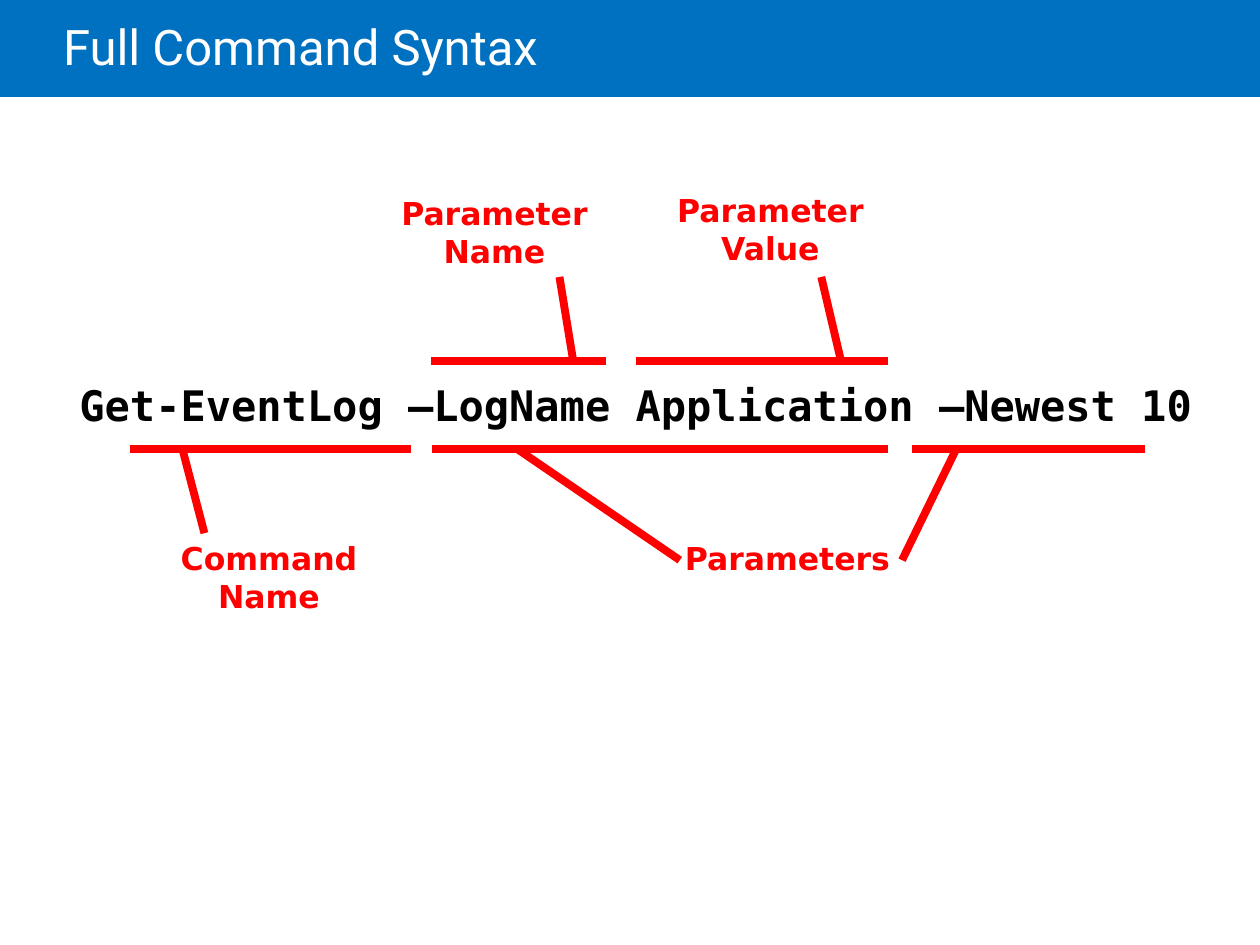
from dataclasses import dataclass

from pptx import Presentation
from pptx.dml.color import RGBColor
from pptx.enum.shapes import MSO_SHAPE
from pptx.enum.text import MSO_ANCHOR, MSO_AUTO_SIZE, PP_ALIGN
from pptx.util import Inches, Pt

RECT = MSO_SHAPE.RECTANGLE
CALLOUT = MSO_SHAPE.LINE_CALLOUT_1_ACCENT_BAR
MIDDLE = MSO_ANCHOR.MIDDLE
FIXED = MSO_AUTO_SIZE.NONE
LEFT, CENTER = PP_ALIGN.LEFT, PP_ALIGN.CENTER


@dataclass(frozen=True)
class Theme:
    """Colours, fonts and sizes of the slide."""
    band: RGBColor = RGBColor(0x00, 0x70, 0xC0)
    title: RGBColor = RGBColor(0xFF, 0xFF, 0xFF)
    code: RGBColor = RGBColor(0x00, 0x00, 0x00)
    accent: RGBColor = RGBColor(0xFF, 0x00, 0x00)
    title_font: str = "Roboto"
    code_font: str = "DejaVu Sans Mono"
    label_font: str = "DejaVu Sans"
    title_size: Pt = Pt(28)
    code_size: Pt = Pt(24)
    label_size: Pt = Pt(18)
    line_width: Pt = Pt(4.5)


THEME = Theme()
CALLOUT_DEPTH = 1.17
SHORT_POINTER = (0.266, -0.651)
BELOW, ABOVE = 270, 90


def add_run(p, text, font, size, color, bold=False):
    """Append one formatted run to a paragraph."""
    r = p.add_run()
    r.text = text
    r.font.name, r.font.size, r.font.bold = font, size, bold
    r.font.color.rgb = color


def add_header(s, left, top, width, height):
    """Draw the title band and set the title over it."""
    band = s.shapes.add_shape(RECT, Inches(left), Inches(top), Inches(width), Inches(height))
    band.shadow.inherit = False
    band.fill.solid()
    band.fill.fore_color.rgb = THEME.band
    band.line.fill.background()
    title = s.shapes.title
    title._element.addprevious(band._element)
    title.left, title.top = Inches(left + 0.5), Inches(top)
    title.width, title.height = Inches(width - 1.5), Inches(height + 0.04)
    tf = title.text_frame
    tf.auto_size, tf.word_wrap, tf.vertical_anchor = FIXED, True, MIDDLE
    tf.margin_left = 0
    p = tf.paragraphs[0]
    p.alignment, p.line_spacing = LEFT, 0.85
    add_run(p, "Full Command Syntax", THEME.title_font, THEME.title_size, THEME.title)


def add_text(s, lines, box, font, size, color):
    """Place centred bold lines in a text box."""
    tf = s.shapes.add_textbox(*map(Inches, box)).text_frame
    tf.word_wrap = True
    for i, line in enumerate(lines):
        p = tf.add_paragraph() if i else tf.paragraphs[0]
        p.alignment = CENTER
        add_run(p, line, font, size, color, bold=True)


def add_callout(s, left, top, width, side, pointer):
    """Draw a turned accent callout that fills the given upright box."""
    shift = (width - CALLOUT_DEPTH) / 2
    sp = s.shapes.add_shape(CALLOUT, Inches(left + shift), Inches(top - shift),
                            Inches(CALLOUT_DEPTH), Inches(width))
    sp.rotation = side
    for i, value in enumerate((0.188, -0.083, *pointer)):
        sp.adjustments[i] = value
    sp.shadow.inherit = False
    sp.fill.background()
    sp.line.color.rgb = THEME.accent
    sp.line.width = THEME.line_width


def add_syntax(s, left, top, width, height):
    """Place the command with its callouts and labels."""
    add_text(s, ["Get-EventLog –LogName Application –Newest 10"], (left, top, width, height),
             THEME.code_font, THEME.code_size, THEME.code)
    below, above = top - 0.66, top
    callouts = [
        (0.58, below, 2.23, BELOW, SHORT_POINTER),
        (2.98, below, 3.62, BELOW, (0.543, -0.834)),
        (6.79, below, 1.85, BELOW, (-0.044, -0.834)),
        (2.97, above, 1.39, ABOVE, SHORT_POINTER),
        (4.6, above, 2, ABOVE, SHORT_POINTER),
    ]
    for x, y, w, side, pointer in callouts:
        add_callout(s, left + x, y, w, side, pointer)
    labels = [
        (["Command Name"], 0.57, 1.27, 2.23, 0.71),
        (["Parameters"], 2.97, 1.27, 5.66, 0.4),
        (["Parameter", "Name"], 2.36, -1.47, 2.23, 0.71),
        (["Parameter", "Value"], 4.55, -1.49, 2.23, 0.71),
    ]
    for lines, x, y, w, h in labels:
        add_text(s, lines, (left + x, top + y, w, h),
                 THEME.label_font, THEME.label_size, THEME.accent)


def main():
    """Build and save the slide."""
    prs = Presentation()
    prs.slide_width, prs.slide_height = Inches(10), Inches(7.5)
    s = prs.slides.add_slide(prs.slide_layouts[5])
    add_header(s, 0, 0, 10, 0.77)
    add_syntax(s, 0.45, 2.96, 9.19, 0.5)
    prs.save("out.pptx")


if __name__ == "__main__":
    main()
